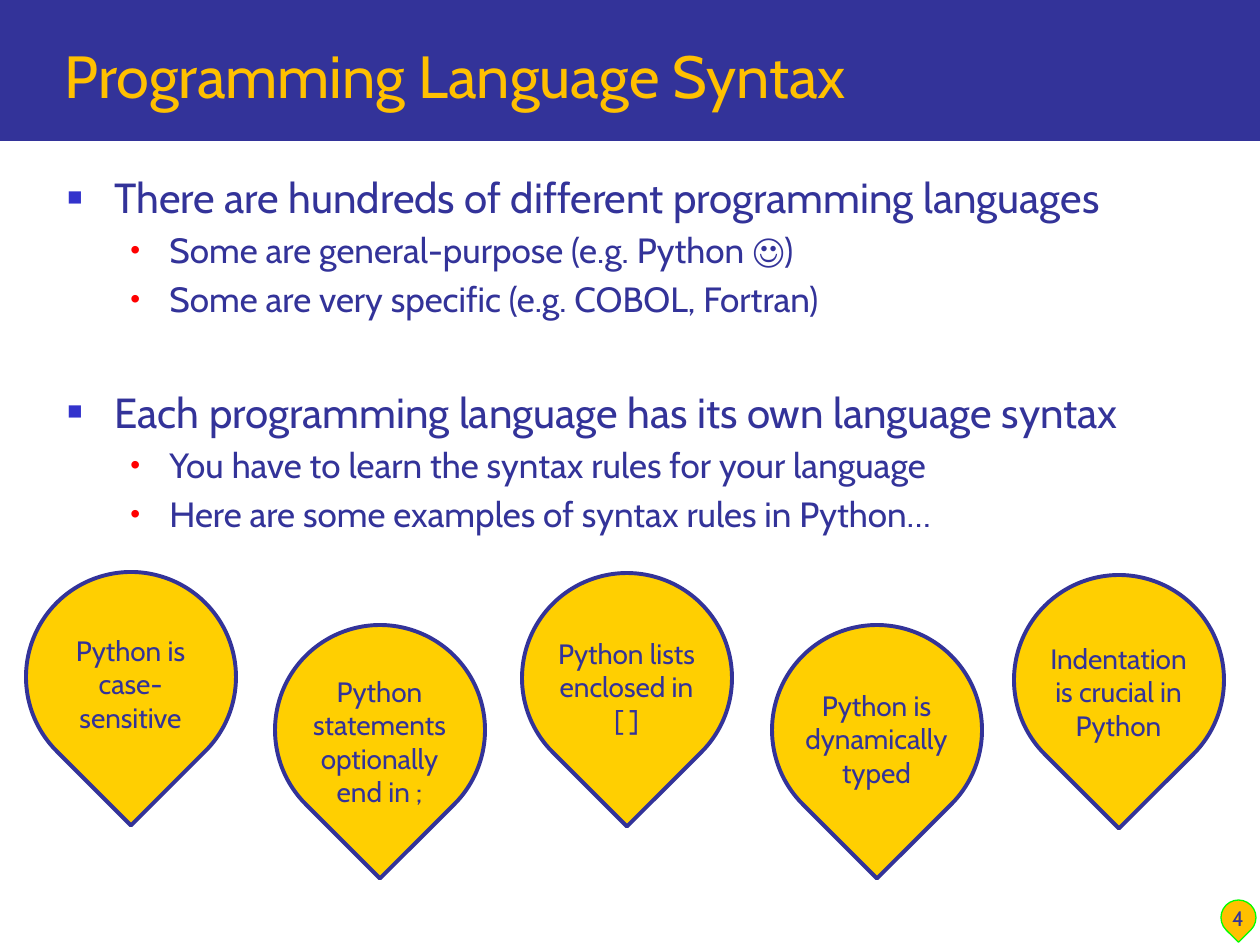
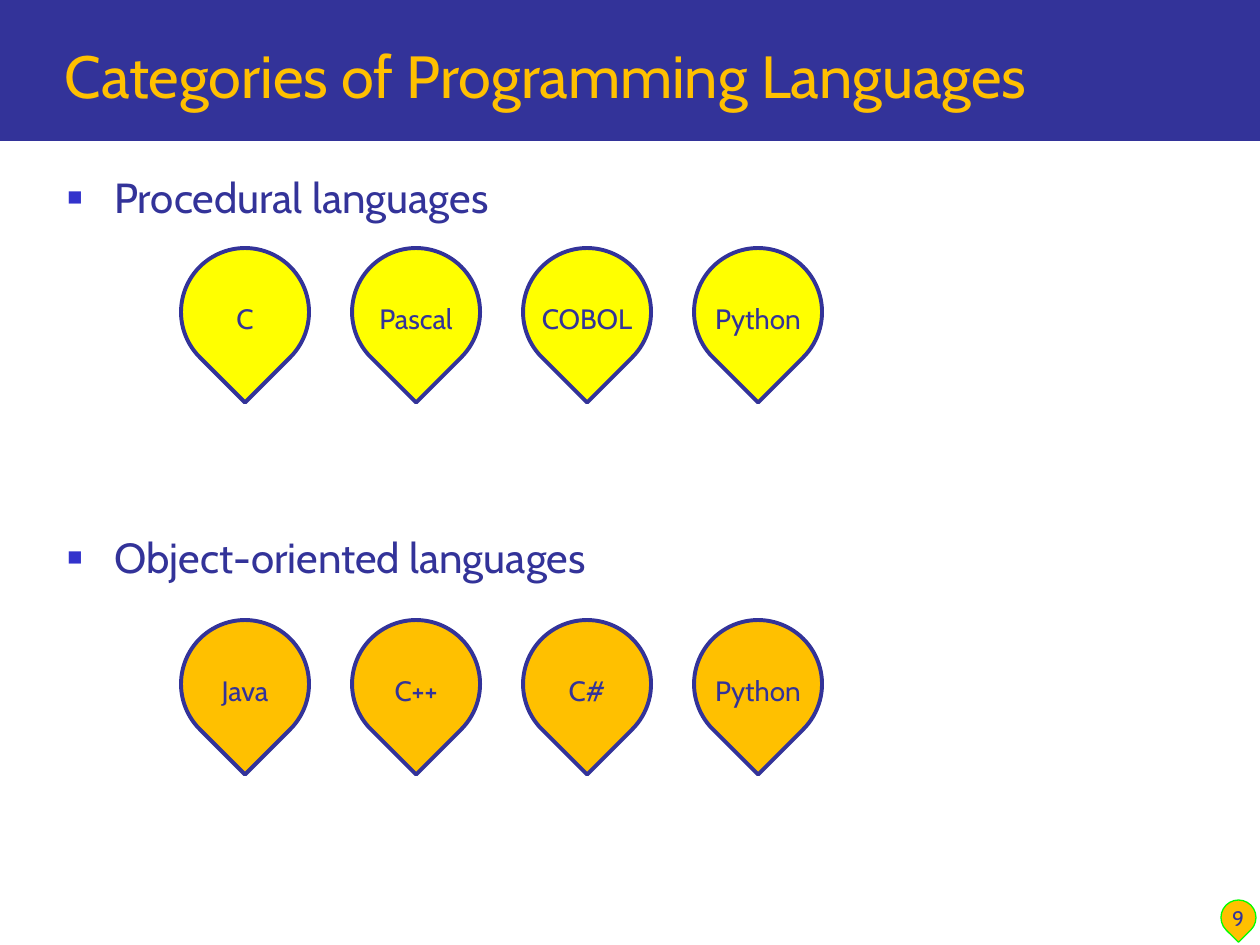
from lxml.etree import SubElement
from pptx import Presentation
from pptx.dml.color import RGBColor
from pptx.enum.shapes import MSO_SHAPE
from pptx.enum.text import MSO_ANCHOR, MSO_AUTO_SIZE, PP_ALIGN
from pptx.oxml.ns import qn
from pptx.util import Emu, Pt

NAVY, GOLD, AMBER, YELLOW = "333399", "FFC000", "FFCF01", "FFFF00"
GREEN, WHITE = "00FF00", "FFFFFF"
FRAME = {"word_wrap": True, "auto_size": MSO_AUTO_SIZE.NONE}
TITLE_FONT = {"name": "Cabin", "size": Pt(34), "bold": False}
LABEL_FONT = {"name": "Cabin", "size": Pt(16)}
NUMBER_FONT = {"name": "Cabin", "size": Pt(12)}
LEVELS = (
    {"size": 24, "before": 10, "margin": 47, "hang": 47,
     "sign": "■", "sign_color": "3333CC", "sign_size": 60},
    {"size": 20, "before": 4, "margin": 102, "hang": 39,
     "sign": "•", "sign_color": "FF0000", "sign_size": 80},
)

SYNTAX_POINTS = (
    (0, "There are hundreds of different programming languages", 0),
    (1, "Some are general-purpose (e.g. Python ☺)", None),
    (1, "Some are very specific (e.g. COBOL, Fortran)", None),
    (0, "Each programming language has its own language syntax", 38),
    (1, "You have to learn the syntax rules for your language", None),
    (1, "Here are some examples of syntax rules in Python…", None),
)
SYNTAX_RULES = (
    ("Python is case-sensitive", 26, 572, 55),
    ("Python statements optionally end in ;", 275, 625, 43),
    ("Python lists enclosed in\v[ ]", 522, 573, 57),
    ("Python is dynamically\vtyped", 772, 625, 57),
    ("Indentation is crucial in Python", 1014, 575, 60),
)
CATEGORY_POINTS = (
    (0, "Procedural languages", 0),
    (0, "Object-oriented languages", 177),
)
CATEGORY_ROWS = (
    (248, YELLOW, ("C", "Pascal", "COBOL", "Python")),
    (620, GOLD, ("Java", "C++", "C#", "Python")),
)


def px(length):
    """Turn px at 126 to the inch into EMU."""
    return Emu(round(length * 914400 / 126))


def color(hex_code):
    """Turn a hex string into a colour."""
    return RGBColor.from_string(hex_code)


def apply(target, values):
    """Set every format value on the target."""
    for name, value in values.items():
        setattr(target, name, value)


def write(paragraph, text, font, text_color, align=PP_ALIGN.LEFT):
    """Put formatted text into a paragraph."""
    paragraph.text = text
    paragraph.alignment = align
    apply(paragraph.font, font)
    paragraph.font.color.rgb = color(text_color)


def add_frame(slide, box, anchor=MSO_ANCHOR.TOP):
    """Add a wrapping text box and return its text frame."""
    frame = slide.shapes.add_textbox(*map(px, box)).text_frame
    apply(frame, {**FRAME, "vertical_anchor": anchor})
    return frame


def add_figure(slide, preset, box, fill, outline=None, weight=0, rotation=0):
    """Add a flat preset shape."""
    figure = slide.shapes.add_shape(preset, *map(px, box))
    figure.shadow.inherit = False
    figure.rotation = rotation
    figure.fill.solid()
    figure.fill.fore_color.rgb = color(fill)
    if outline:
        figure.line.color.rgb = color(outline)
        figure.line.width = Pt(weight)
    else:
        figure.line.fill.background()
    return figure


def furnish_layout(layout, slide):
    """Move the title band and the page marker into the shared layout."""
    layout.background.fill.solid()
    layout.background.fill.fore_color.rgb = color(WHITE)
    band = add_figure(slide, MSO_SHAPE.RECTANGLE, (0, 0, 1260, 141), NAVY)
    marker = add_figure(slide, MSO_SHAPE.TEAR, (1221, 900, 35, 35),
                        GOLD, GREEN, 0.75, 135)
    for position, part in enumerate((band, marker)):
        part._element.nvSpPr.cNvPr.set("id", str(20 + position))
        layout.shapes._spTree.insert(2 + position, part._element)


def add_title(slide, text):
    """Place and format the title placeholder."""
    title = slide.shapes.title
    apply(title, {"left": px(52), "top": px(21),
                  "width": px(1178), "height": px(96)})
    apply(title.text_frame, {**FRAME, "vertical_anchor": MSO_ANCHOR.BOTTOM})
    write(title.text_frame.paragraphs[0], text, TITLE_FONT, GOLD)


def add_page_number(slide, number):
    """Write the page number over the marker."""
    frame = add_frame(slide, (1202, 874, 72, 63), MSO_ANCHOR.BOTTOM)
    write(frame.paragraphs[0], str(number), NUMBER_FONT, NAVY, PP_ALIGN.CENTER)


def add_bullet(paragraph, level):
    """Give a paragraph its hanging indent and bullet."""
    properties = paragraph._p.get_or_add_pPr()
    properties.set("marL", str(px(level["margin"])))
    properties.set("indent", str(-px(level["hang"])))
    tint = SubElement(properties, qn("a:buClr"))
    SubElement(tint, qn("a:srgbClr"), val=level["sign_color"])
    SubElement(properties, qn("a:buSzPct"), val=str(level["sign_size"] * 1000))
    SubElement(properties, qn("a:buFont"), typeface="Arial")
    SubElement(properties, qn("a:buChar"), char=level["sign"])


def add_points(slide, points):
    """Add the bulleted body text."""
    frame = add_frame(slide, (55, 165, 1169, 680))
    for index, (depth, text, before) in enumerate(points):
        paragraph = frame.add_paragraph() if index else frame.paragraphs[0]
        level = LEVELS[depth]
        paragraph.level = depth
        paragraph.space_before = Pt(level["before"] if before is None else before)
        add_bullet(paragraph, level)
        write(paragraph, text, {"name": "Cabin", "size": Pt(level["size"])}, NAVY)


def add_pin(slide, label, left, top, size, fill, label_drop, label_width):
    """Add a downward teardrop with a centred label."""
    add_figure(slide, MSO_SHAPE.TEAR, (left, top, size, size),
               fill, NAVY, 2.25, 135)
    label_left = left + (size - label_width) // 2
    frame = add_frame(slide, (label_left, top + label_drop, label_width,
                              size - 2 * label_drop))
    write(frame.paragraphs[0], label, LABEL_FONT, NAVY, PP_ALIGN.CENTER)


def start_slide(deck, title, number, points):
    """Add a slide with title, page number and bullets."""
    layout = deck.slide_layouts[5]
    slide = deck.slides.add_slide(layout)
    if len(deck.slides) == 1:
        furnish_layout(layout, slide)
    add_points(slide, points)
    add_title(slide, title)
    add_page_number(slide, number)
    return slide


def main():
    """Build both slides and save them."""
    deck = Presentation()
    apply(deck, {"slide_width": px(1260), "slide_height": px(945)})

    syntax = start_slide(deck, "Programming Language Syntax", 4, SYNTAX_POINTS)
    for rule, left, top, label_drop in SYNTAX_RULES:
        add_pin(syntax, rule, left, top, 210, AMBER, label_drop, 171)

    categories = start_slide(deck, "Categories of Programming Languages", 9,
                             CATEGORY_POINTS)
    for top, fill, languages in CATEGORY_ROWS:
        for column, language in enumerate(languages):
            add_pin(categories, language, 181 + 171 * column, top, 128,
                    fill, 47, 144)

    deck.save("out.pptx")


if __name__ == "__main__":
    main()
